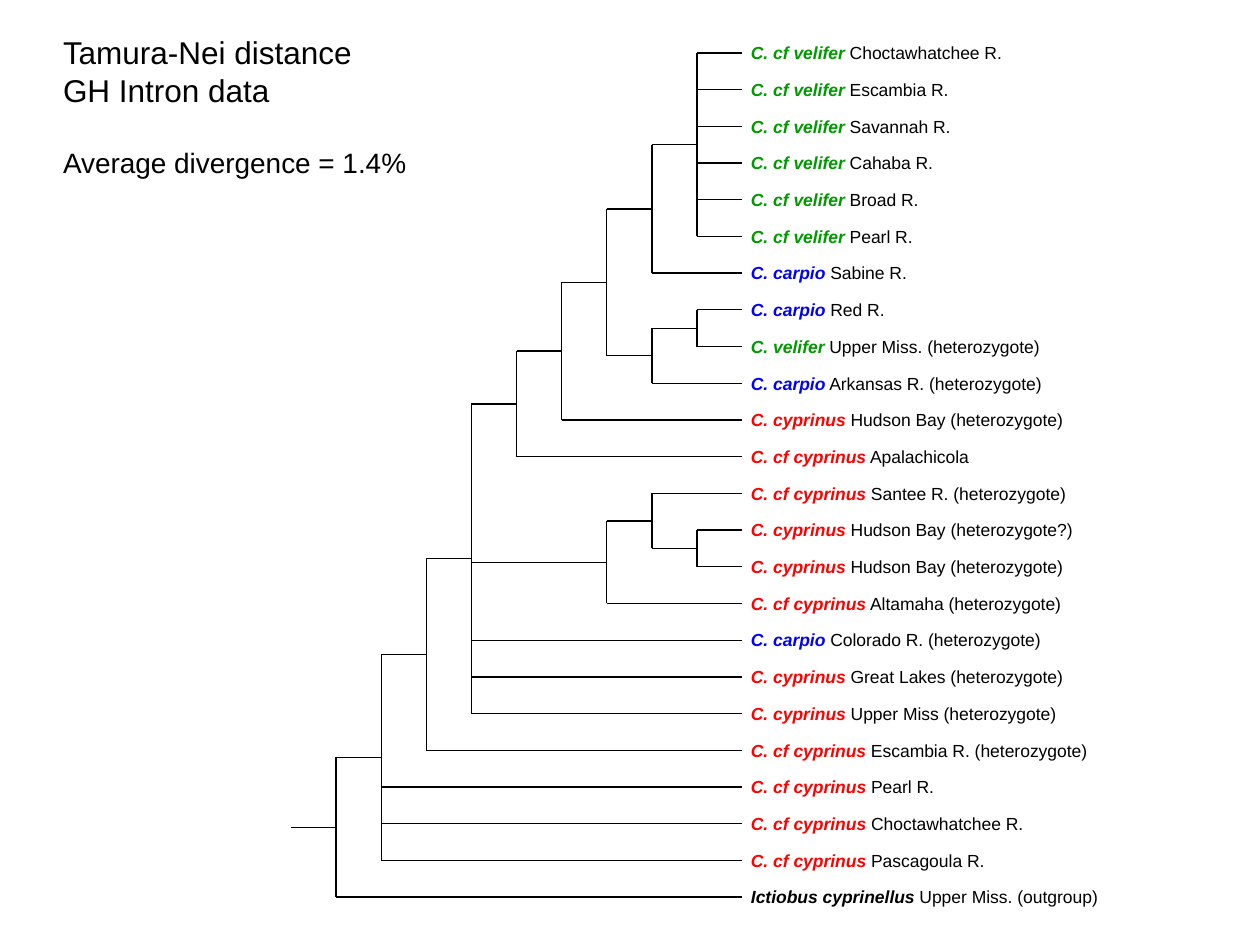
from dataclasses import dataclass
from typing import Union

from lxml.etree import SubElement
from pptx import Presentation
from pptx.dml.color import RGBColor
from pptx.enum.shapes import MSO_CONNECTOR
from pptx.enum.text import MSO_ANCHOR, MSO_AUTO_SIZE, PP_ALIGN
from pptx.oxml.ns import qn
from pptx.util import Inches, Pt

BLACK = RGBColor(0, 0, 0)
GREEN = RGBColor(0, 0x99, 0)
BLUE = RGBColor(0, 0, 0xFF)
RED = RGBColor(0xFF, 0, 0)

# Grid: one column per branching level, one row per tip
LEFT, STEP = 2.31, 0.358
TOP, PITCH = 0.42, 6.7 / 23
LAST = 10
# Labels get a little slack so that each stays on one line
LABEL_X, LABEL_H, SLACK = 5.96, 0.17, 0.06


@dataclass
class Tip:
    name: str
    place: str
    color: RGBColor
    width: float


@dataclass
class Clade:
    col: int
    kids: list[Union["Clade", Tip]]


def velifer(place: str, width: float) -> Tip:
    return Tip("C. cf velifer", place, GREEN, width)


def carpio(place: str, width: float) -> Tip:
    return Tip("C. carpio", place, BLUE, width)


def cyprinus(place: str, width: float) -> Tip:
    return Tip("C. cyprinus", place, RED, width)


def cf_cyp(place: str, width: float) -> Tip:
    return Tip("C. cf cyprinus", place, RED, width)


# Tree, from the inner clades out to the root
east = Clade(9, [
    velifer("Choctawhatchee R.", 1.99),
    velifer("Escambia R.", 1.57),
    velifer("Savannah R.", 1.58),
    velifer("Cahaba R.", 1.45),
    velifer("Broad R.", 1.33),
    velifer("Pearl R.", 1.28),
])
gulf = Clade(8, [east, carpio("Sabine R.", 1.24)])
red = Clade(9, [
    carpio("Red R.", 1.06),
    Tip("C. velifer", "Upper Miss. (heterozygote)", GREEN, 2.29),
])
west = Clade(8, [red, carpio("Arkansas R. (heterozygote)", 2.31)])
upper = Clade(5, [
    Clade(6, [Clade(7, [gulf, west]),
              cyprinus("Hudson Bay (heterozygote)", 2.48)]),
    cf_cyp("Apalachicola", 1.74),
])
hudson = Clade(9, [
    cyprinus("Hudson Bay (heterozygote?)", 2.55),
    cyprinus("Hudson Bay (heterozygote)", 2.48),
])
coast = Clade(7, [
    Clade(8, [cf_cyp("Santee R. (heterozygote)", 2.5), hudson]),
    cf_cyp("Altamaha (heterozygote)", 2.47),
])
core = Clade(4, [
    upper,
    coast,
    carpio("Colorado R. (heterozygote)", 2.3),
    cyprinus("Great Lakes (heterozygote)", 2.48),
    cyprinus("Upper Miss (heterozygote)", 2.42),
])
ingroup = Clade(2, [
    Clade(3, [core, cf_cyp("Escambia R. (heterozygote)", 2.67)]),
    cf_cyp("Pearl R.", 1.49),
    cf_cyp("Choctawhatchee R.", 2.16),
    cf_cyp("Pascagoula R.", 1.85),
])
ROOT = Clade(1, [
    ingroup,
    Tip("Ictiobus cyprinellus", "Upper Miss. (outgroup)", BLACK, 2.75),
])


def write(para, text: str, *, size: float = 10, color: RGBColor = BLACK,
          bold: bool = False, italic: bool = False) -> None:
    run = para.add_run()
    run.text = text
    font = run.font
    font.name, font.size = "Arial", Pt(size)
    font.bold, font.italic = bold, italic
    font.color.rgb = color


def line(slide, col1: float, row1: float, col2: float, row2: float) -> None:
    ends = [Inches(LEFT + col1 * STEP), Inches(TOP + row1 * PITCH),
            Inches(LEFT + col2 * STEP), Inches(TOP + row2 * PITCH)]
    link = slide.shapes.add_connector(MSO_CONNECTOR.STRAIGHT, *ends)
    link.line.color.rgb = BLACK
    link.line.width = Pt(0.75)
    SubElement(link._element.spPr, qn("a:effectLst"))


def label(slide, tip: Tip, row: int) -> None:
    y = TOP + row * PITCH - LABEL_H / 2
    box = slide.shapes.add_textbox(Inches(LABEL_X), Inches(y),
                                   Inches(tip.width + SLACK), Inches(LABEL_H))
    frame = box.text_frame
    frame.margin_left = frame.margin_right = 0
    frame.margin_top = frame.margin_bottom = 0
    frame.word_wrap = True
    frame.auto_size = MSO_AUTO_SIZE.NONE
    para = frame.paragraphs[0]
    write(para, tip.name, color=tip.color, bold=True, italic=True)
    write(para, " " + tip.place)


def draw(slide, node: Union[Clade, Tip], row: int) -> tuple[float, int]:
    """Draw a node from the given row; return its centre and the next row."""
    if isinstance(node, Tip):
        label(slide, node, row)
        return row, row + 1
    mids = []
    for kid in node.kids:
        mid, row = draw(slide, kid, row)
        line(slide, node.col, mid, getattr(kid, "col", LAST), mid)
        mids.append(mid)
    line(slide, node.col, mids[0], node.col, mids[-1])
    return (mids[0] + mids[-1]) / 2, row


def head(slide) -> None:
    title = slide.shapes.title
    title.left, title.top = Inches(0.4), Inches(0.21)
    title.width, title.height = Inches(2.93), Inches(1.27)
    frame = title.text_frame
    frame.word_wrap = False
    frame.auto_size = MSO_AUTO_SIZE.NONE
    frame.vertical_anchor = MSO_ANCHOR.TOP
    rows = [("Tamura-Nei distance", 18, 0), ("GH Intron data", 18, 0),
            ("Average divergence = 1.4%", 16, 21)]
    for i, (text, size, gap) in enumerate(rows):
        para = frame.add_paragraph() if i else frame.paragraphs[0]
        para.alignment = PP_ALIGN.LEFT
        para.space_before = Pt(gap)
        write(para, text, size=size)


def main() -> None:
    deck = Presentation()
    deck.slide_width, deck.slide_height = Inches(10), Inches(7.5)
    slide = deck.slides.add_slide(deck.slide_layouts[5])
    head(slide)
    # Tree and its root stem
    mid, _ = draw(slide, ROOT, 0)
    line(slide, 0, mid, ROOT.col, mid)
    deck.save("out.pptx")


if __name__ == "__main__":
    main()
